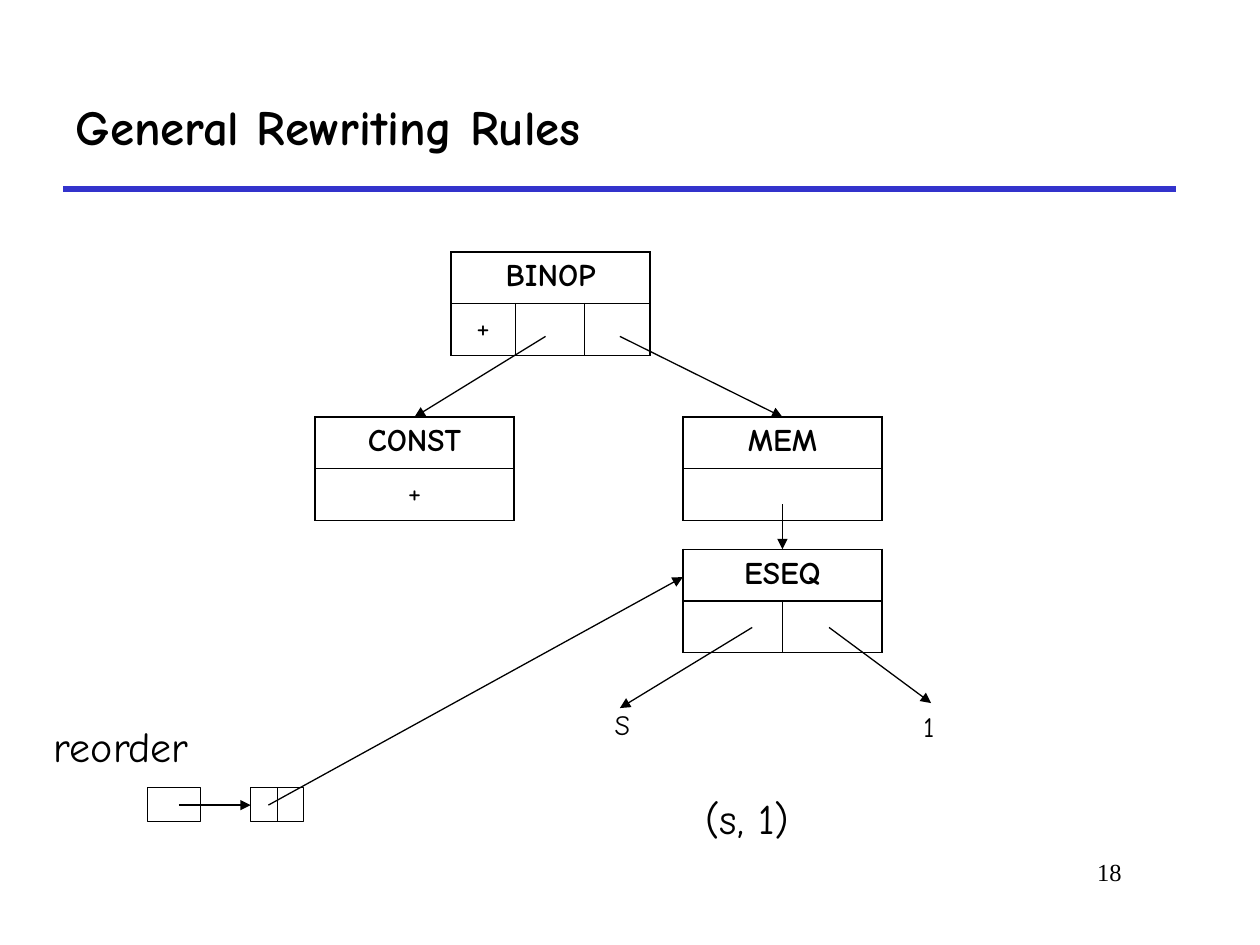
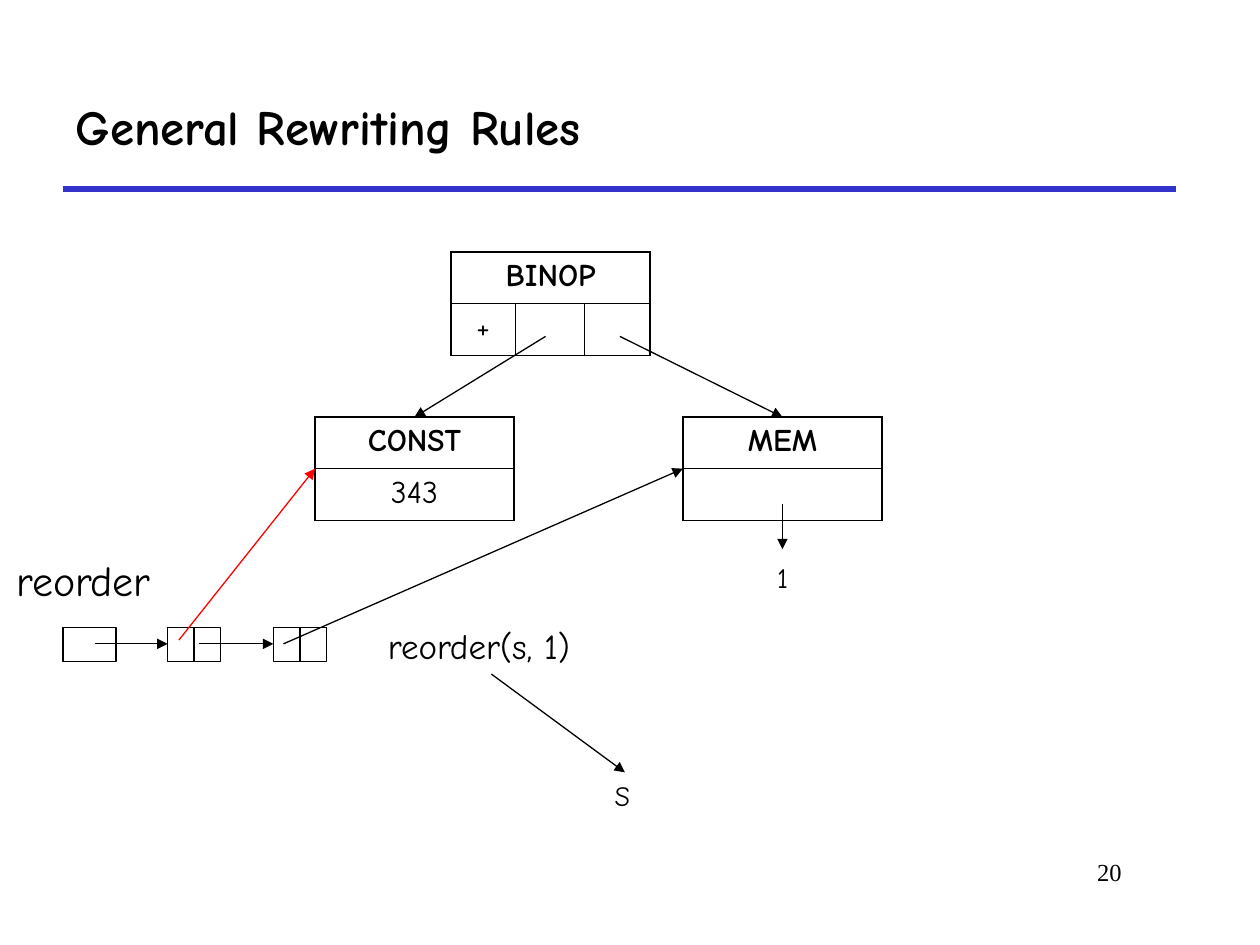
from lxml import etree
from pptx import Presentation
from pptx import util as u
from pptx.dml.color import RGBColor
from pptx.enum import shapes, text
from pptx.oxml import ns

COLORS = {"ink": "000000", "rule": "3333CC", "accent": "FF0000"}
FONT = "Comic Neue"
ROW_H = 0.41
BOX_W, BOX_H = 0.42, 0.27


def add_line(parent, start, end, color="ink", width=0.75, arrow=True):
    x1, y1, x2, y2 = [u.Inches(v) for v in (*start, *end)]
    cx = parent.add_connector(shapes.MSO_CONNECTOR.STRAIGHT, x1, y1, x2, y2)
    cx.line.color.rgb = RGBColor.from_string(COLORS[color])
    cx.line.width = u.Pt(width)
    if arrow:
        etree.SubElement(cx.line._get_or_add_ln(), ns.qn("a:tailEnd"), type="triangle")
    etree.SubElement(cx._element.spPr, ns.qn("a:effectLst"))
    return cx


def set_text(tf, content, size, font=FONT, bold=False, align=text.PP_ALIGN.LEFT):
    tf.text = content
    p = tf.paragraphs[0]
    p.alignment = align
    r = p.runs[0]
    r.font.name = font
    r.font.size = u.Pt(size)
    r.font.bold = bold
    r.font.color.rgb = RGBColor.from_string(COLORS["ink"])


binop = ("BINOP", 3.58, 2, [0.51, 0.55, 0.52], "+")
mem = ("MEM", 5.42, 3.31, [1.58], "")
tree_arrows = [
    ((4.33, 2.67), (3.29, 3.31), "ink"),
    ((4.92, 2.67), (6.21, 3.31), "ink"),
    ((6.21, 4), (6.21, 4.36), "ink"),
]
slides = [
    {
        "page": "18",
        "nodes": [binop, ("CONST", 2.5, 3.31, [1.58], "+"), mem,
                  ("ESEQ", 5.42, 4.36, [0.79, 0.79], "")],
        "list_top": 6.25,
        "list_boxes": [1.17, 1.99],
        "arrows": [
            ((5.97, 4.98), (4.92, 5.62), "ink"),
            ((6.58, 4.98), (7.39, 5.58), "ink"),
            ((1.42, 6.39), (1.99, 6.39), "ink"),
            ((2.13, 6.39), (5.42, 4.58), "ink"),
        ],
        "labels": [
            ("S", 4.78, 5.57, 0.36, 0.37, 16),
            ("1", 7.23, 5.58, 0.3, 0.37, 16),
            ("(s, 1)", 5.5, 6.24, 0.95, 0.51, 24),
            ("reorder", 0.33, 5.67, 1.43, 0.51, 24),
        ],
    },
    {
        "page": "20",
        "nodes": [binop, ("CONST", 2.5, 3.31, [1.58], "343"), mem],
        "list_top": 4.98,
        "list_boxes": [0.5, 1.33, 2.17],
        "arrows": [
            ((3.9, 5.35), (4.96, 6.13), "ink"),
            ((0.75, 5.11), (1.33, 5.11), "ink"),
            ((1.58, 5.11), (2.17, 5.11), "ink"),
            ((1.42, 5.08), (2.5, 3.72), "accent"),
            ((2.25, 5.11), (5.42, 3.72), "ink"),
        ],
        "labels": [
            ("S", 4.78, 6.13, 0.36, 0.37, 16),
            ("1", 6.07, 4.4, 0.3, 0.37, 16),
            ("reorder", 0.03, 4.35, 1.43, 0.51, 24),
            ("reorder(s, 1)", 2.98, 4.91, 1.86, 0.44, 20),
        ],
    },
]

prs = Presentation()
prs.slide_width = u.Inches(10)
prs.slide_height = u.Inches(7.5)
layout = prs.slide_layouts[5]

for number, data in enumerate(slides):
    s = prs.slides.add_slide(layout)
    if number == 0:
        rule = add_line(s.shapes, (0.5, 1.5), (9.33, 1.5), "rule", 3, arrow=False)
        prs.slide_master.shapes.element.append(rule._element)

    title = s.shapes.title
    title.left, title.top = u.Inches(0.5), u.Inches(0.5)
    title.width, title.height = u.Inches(8.83), u.Inches(1)
    title.text_frame.vertical_anchor = text.MSO_ANCHOR.MIDDLE
    set_text(title.text_frame, "General Rewriting Rules", 28, bold=True)

    page = s.shapes.add_textbox(u.Inches(6.92), u.Inches(6.75), u.Inches(2.08), u.Inches(0.5))
    page.text_frame.word_wrap = True
    set_text(page.text_frame, data["page"], 14, "Times New Roman", align=text.PP_ALIGN.RIGHT)

    for name, left, top, widths, value in data["nodes"]:
        frame = s.shapes.add_table(2, len(widths), u.Inches(left), u.Inches(top),
                                   u.Inches(sum(widths)), u.Inches(2 * ROW_H))
        table = frame.table
        table.first_row = table.horz_banding = False
        for column, width in zip(table.columns, widths):
            column.width = u.Inches(width)
        for row in table.rows:
            row.height = u.Inches(ROW_H)
        for cell in table.iter_cells():
            tcPr = cell._tc.get_or_add_tcPr()
            for side in ("lnL", "lnR", "lnT", "lnB"):
                ln = etree.SubElement(tcPr, ns.qn(f"a:{side}"), w=str(u.Pt(1)))
                fill = etree.SubElement(ln, ns.qn("a:solidFill"))
                etree.SubElement(fill, ns.qn("a:srgbClr"), val=COLORS["ink"])
            cell.fill.background()
        if len(widths) > 1:
            table.cell(0, 0).merge(table.cell(0, len(widths) - 1))
        set_text(table.cell(0, 0).text_frame, name, 18, bold=True, align=text.PP_ALIGN.CENTER)
        if value:
            set_text(table.cell(1, 0).text_frame, value, 18, align=text.PP_ALIGN.CENTER)

    top = data["list_top"]
    for i, left in enumerate(data["list_boxes"]):
        parent = s.shapes.add_group_shape().shapes if i else s.shapes
        box = parent.add_shape(shapes.MSO_SHAPE.RECTANGLE, u.Inches(left), u.Inches(top),
                               u.Inches(BOX_W), u.Inches(BOX_H))
        box.shadow.inherit = False
        box.fill.background()
        box.line.color.rgb = RGBColor.from_string(COLORS["ink"])
        box.line.width = u.Pt(0.75)
        if i:
            middle = left + BOX_W / 2
            add_line(parent, (middle, top), (middle, top + BOX_H), arrow=False)

    for start, end, color in tree_arrows + data["arrows"]:
        add_line(s.shapes, start, end, color)

    for content, left, top, width, height, size in data["labels"]:
        label = s.shapes.add_textbox(u.Inches(left), u.Inches(top), u.Inches(width), u.Inches(height))
        label.text_frame.word_wrap = False
        label.text_frame.auto_size = text.MSO_AUTO_SIZE.SHAPE_TO_FIT_TEXT
        set_text(label.text_frame, content, size)

prs.save("out.pptx")
